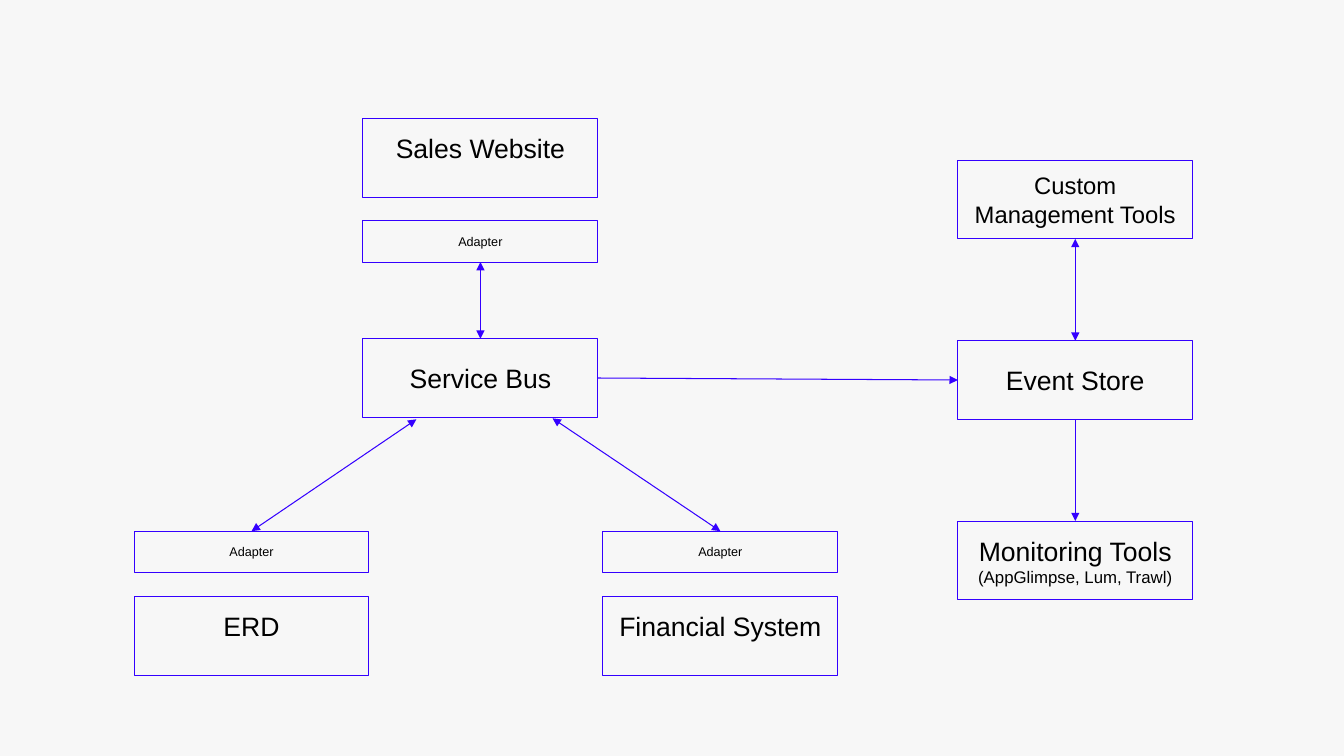
from lxml.etree import SubElement
from pptx import Presentation
from pptx.dml.color import RGBColor
from pptx.enum.shapes import MSO_CONNECTOR, MSO_SHAPE
from pptx.enum.text import MSO_ANCHOR, PP_ALIGN
from pptx.oxml.ns import qn
from pptx.util import Emu, Pt

PAPER = RGBColor(0xF7, 0xF7, 0xF7)
BLUE = RGBColor(0x34, 0x00, 0xFF)
BLACK = RGBColor(0x00, 0x00, 0x00)
TOP, LEFT, BOTTOM, RIGHT = range(4)  # connection sites of a rectangle


def px(length):
    """100 px to the inch."""
    return Emu(length * 9144)


deck = Presentation()
deck.slide_width, deck.slide_height = px(1333), px(750)
page = deck.slides.add_slide(deck.slide_layouts[6])
page.background.fill.solid()
page.background.fill.fore_color.rgb = PAPER

# Boxes: key, left, top, height, bottom inset, lines of (text, size)
BOX_WIDTH, SYSTEM, ADAPTER = 233, 78, 41
INSET, RAISED = 13, 34
ERD_X, BUS_X, FINANCE_X, EVENT_X = 133, 360, 598, 950
BOXES = [
    ("sales", BUS_X, 118, SYSTEM, RAISED, [("Sales Website", 19)]),
    ("erd", ERD_X, 592, SYSTEM, RAISED, [("ERD", 19)]),
    ("finance", FINANCE_X, 592, SYSTEM, RAISED, [("Financial System", 19)]),
    ("sales adapter", BUS_X, 219, ADAPTER, INSET, [("Adapter", 9)]),
    ("bus", BUS_X, 336, SYSTEM, INSET, [("Service Bus", 19)]),
    ("erd adapter", ERD_X, 527, ADAPTER, INSET, [("Adapter", 9)]),
    ("finance adapter", FINANCE_X, 527, ADAPTER, INSET, [("Adapter", 9)]),
    ("store", EVENT_X, 338, SYSTEM, INSET, [("Event Store", 19)]),
    ("monitoring", EVENT_X, 517, SYSTEM, INSET,
     [("Monitoring Tools", 19), ("(AppGlimpse, Lum, Trawl)", 12)]),
    ("management", EVENT_X, 159, SYSTEM, INSET, [("Custom Management Tools", 17)]),
]
boxes = {}
for key, left, top, height, bottom_inset, lines in BOXES:
    box = page.shapes.add_shape(
        MSO_SHAPE.RECTANGLE, px(left), px(top), px(BOX_WIDTH), px(height))
    box.shadow.inherit = False
    box.fill.solid()
    box.fill.fore_color.rgb = PAPER
    box.line.color.rgb = BLUE
    box.line.width = Pt(0.75)
    frame = box.text_frame
    frame.word_wrap = True
    frame.vertical_anchor = MSO_ANCHOR.MIDDLE
    frame.margin_left = frame.margin_right = frame.margin_top = px(INSET)
    frame.margin_bottom = px(bottom_inset)
    para = frame.paragraphs[0]
    para.alignment = PP_ALIGN.CENTER
    for index, (text, size) in enumerate(lines):
        if index:
            para.add_line_break()
        span = para.add_run()
        span.text = text
        span.font.name = "Arial"
        span.font.size = Pt(size)
        span.font.color.rgb = BLACK
    boxes[key] = box

# Arrows: start box and site, start point, end box and site, end point, two-way
BUS_MID, EVENT_MID = 476, 1066
ARROWS = [
    (("sales adapter", BOTTOM), (BUS_MID, 260), ("bus", TOP), (BUS_MID, 336), True),
    (("erd adapter", TOP), (249, 527), None, (413, 416), True),
    (("finance adapter", TOP), (714, 527), None, (548, 415), True),
    (("bus", RIGHT), (593, 375), ("store", LEFT), (950, 377), False),
    (("store", TOP), (EVENT_MID, 338), ("management", BOTTOM), (EVENT_MID, 237), True),
    (("store", BOTTOM), (EVENT_MID, 416), ("monitoring", TOP), (EVENT_MID, 517), False),
]
for (start, start_site), start_point, end, end_point, two_way in ARROWS:
    arrow = page.shapes.add_connector(
        MSO_CONNECTOR.STRAIGHT, *map(px, start_point + end_point))
    arrow.begin_connect(boxes[start], start_site)
    if end:
        arrow.end_connect(boxes[end[0]], end[1])
    arrow.line.color.rgb = BLUE
    arrow.line.width = Pt(0.75)
    line = arrow.line._get_or_add_ln()
    for tip in ("a:headEnd", "a:tailEnd") if two_way else ("a:tailEnd",):
        SubElement(line, qn(tip), type="triangle")
    SubElement(arrow._element.spPr, qn("a:effectLst"))

deck.save("out.pptx")
